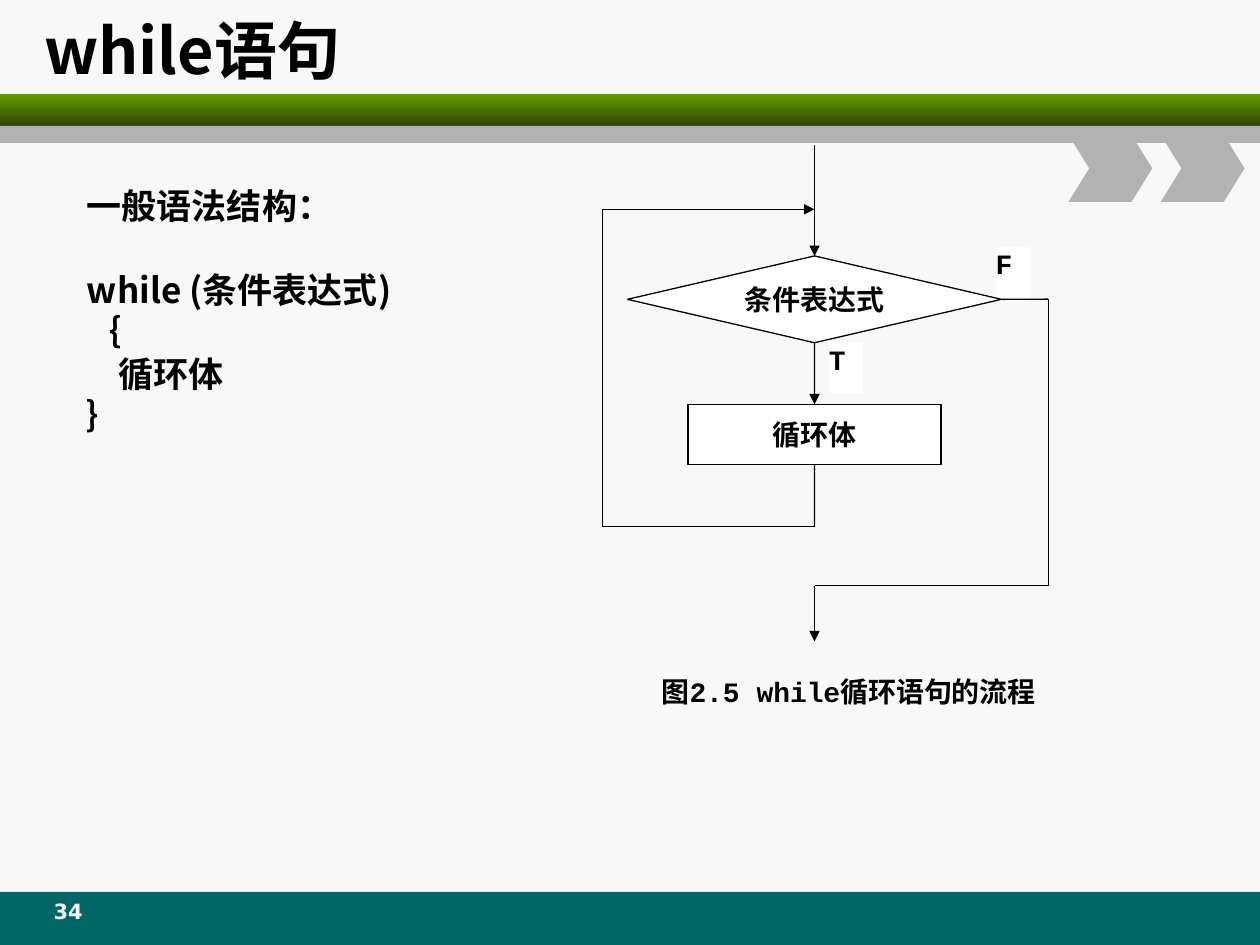
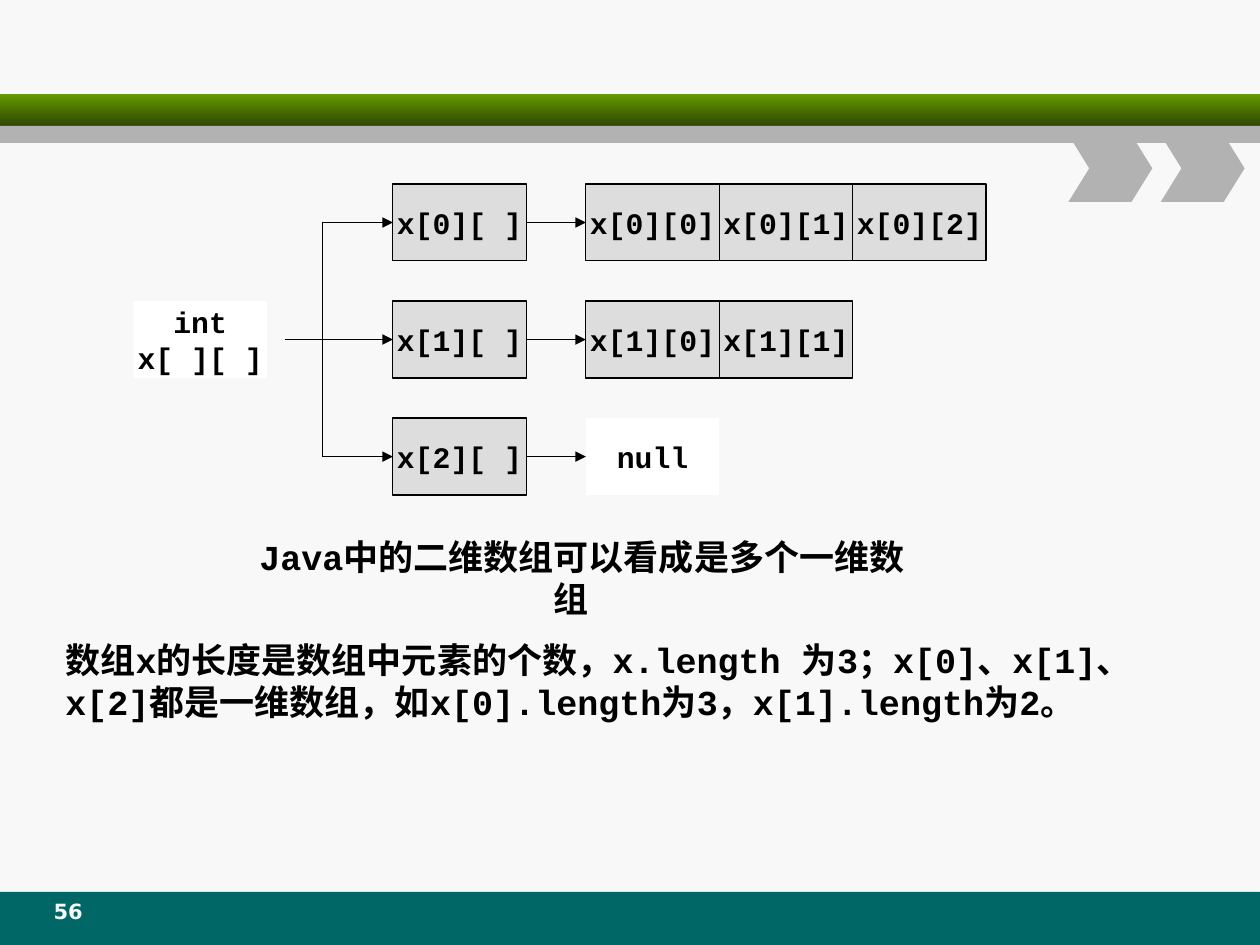
from dataclasses import dataclass

from lxml import etree
from pptx import Presentation
from pptx.dml.color import RGBColor
from pptx.enum.shapes import MSO_CONNECTOR, MSO_SHAPE as Shape
from pptx.enum.text import MSO_ANCHOR as Anchor, MSO_AUTO_SIZE, PP_ALIGN as Align
from pptx.oxml.ns import qn
from pptx.util import Cm, Pt


@dataclass(frozen=True)
class Theme:
    paper: str = "F8F8F8"
    ink: str = "000000"
    white: str = "FFFFFF"
    cell: str = "DDDDDD"
    gray: str = "B2B2B2"
    teal: str = "006666"
    green: str = "669900"
    dark_green: str = "2F4700"
    sans: str = "Noto Sans CJK SC"
    mono: str = "Courier New"
    number: str = "DejaVu Sans"
    title_size: int = 36
    body_size: int = 20
    cell_size: int = 17
    label_size: int = 16
    number_size: int = 12
    line_height: float = 1.2
    line_width: float = 0.75


T = Theme()
rgb = RGBColor.from_string


def style(sp, text="", size=T.body_size, font=T.mono, color=T.ink, fill=None,
          outline=False, align=Align.CENTER, anchor=Anchor.MIDDLE, inset=(0, 0)):
    """Format a shape and its text; inset is (sides, top and bottom) in cm."""
    if fill:
        sp.shadow.inherit = False
        sp.fill.solid()
        sp.fill.fore_color.rgb = rgb(fill)
        if outline:
            sp.line.color.rgb = rgb(T.ink)
            sp.line.width = Pt(T.line_width)
        else:
            sp.line.fill.background()
    if not text:
        return sp
    side, edge = map(Cm, inset)
    tf = sp.text_frame
    tf.text = text
    frame = dict(word_wrap=True, auto_size=MSO_AUTO_SIZE.NONE, vertical_anchor=anchor,
                 margin_left=side, margin_right=side, margin_top=edge, margin_bottom=edge)
    for name, value in frame.items():
        setattr(tf, name, value)
    for p in tf.paragraphs:
        p.alignment = align
        p.line_spacing = Pt(size * T.line_height)
        for r in p.runs:
            for name, value in dict(name=font, size=Pt(size), bold=True).items():
                setattr(r.font, name, value)
            r.font.color.rgb = rgb(color)
            etree.SubElement(r.font._element, qn("a:ea"), typeface=T.sans)
    return sp


def link(s, start, end, arrow=False):
    """Draw a thin straight line between two points in cm."""
    c = s.shapes.add_connector(MSO_CONNECTOR.STRAIGHT, *map(Cm, start + end))
    c.line.color.rgb = rgb(T.ink)
    c.line.width = Pt(T.line_width)
    if arrow:
        etree.SubElement(c.line._get_or_add_ln(), qn("a:tailEnd"), type="triangle")
    etree.SubElement(c._element.spPr, qn("a:effectLst"))
    return c


prs = Presentation()
prs.slide_width, prs.slide_height = Cm(25.4), Cm(19.05)
TITLE_ONLY, BLANK = prs.slide_layouts[5], prs.slide_layouts[6]
while_slide = prs.slides.add_slide(TITLE_ONLY)
array_slide = prs.slides.add_slide(BLANK)
PADDING = (0.25, 0.13)

# Shared bands and chevrons live on the master
master = prs.slide_master
master.background.fill.solid()
master.background.fill.fore_color.rgb = rgb(T.paper)
decorations = [
    (Shape.RECTANGLE, 0, 17.98, 25.4, 1.07, T.teal),
    (Shape.RECTANGLE, 0, 1.9, 25.4, 0.64, T.green),
    (Shape.RECTANGLE, 0, 2.54, 25.4, 0.34, T.gray),
    (Shape.CHEVRON, 21.54, 2.72, 1.69, 1.35, T.gray),
    (Shape.CHEVRON, 23.4, 2.72, 1.69, 1.35, T.gray),
]
for i, (kind, x, y, w, h, fill) in enumerate(decorations):
    sp = style(while_slide.shapes.add_shape(kind, Cm(x), Cm(y), Cm(w), Cm(h)), fill=fill)
    if kind == Shape.CHEVRON:
        sp.adjustments[0] = 0.31
    if fill == T.green:
        sp.fill.gradient()
        sp.fill.gradient_angle = 270
        for stop, color, position in zip(sp.fill.gradient_stops, (T.green, T.dark_green), (0, 1)):
            stop.color.rgb = rgb(color)
            stop.position = position
    sp._element.nvSpPr.cNvPr.id = 20 + i
    master.element.cSld.spTree.insert(2 + i, sp._element)

for s, number in ((while_slide, "34"), (array_slide, "56")):
    style(s.shapes.add_textbox(Cm(0.64), Cm(17.98), Cm(1.47), Cm(0.84)), number, T.number_size,
          T.number, T.paper, anchor=Anchor.TOP, inset=PADDING)

# Slide 1: the while statement
s = while_slide
title = s.shapes.title
for name, value in dict(left=0.64, top=0.1, width=22.86, height=1.78).items():
    setattr(title, name, Cm(value))
style(title, "while语句", T.title_size, T.sans, align=Align.LEFT, anchor=Anchor.TOP, inset=PADDING)

syntax = style(s.shapes.add_textbox(Cm(1.5), Cm(3.58), Cm(9.63), Cm(5.33)),
               "一般语法结构：\nwhile (条件表达式)\n｛\n    循环体\n｝", font=T.sans,
               align=Align.LEFT, anchor=Anchor.TOP, inset=PADDING)
syntax.text_frame.paragraphs[1].space_before = Pt(T.body_size * T.line_height)

for text, x, y, h in (("T", 16.71, 6.91, 1.02), ("F", 20.07, 4.98, 1.12)):
    style(s.shapes.add_shape(Shape.RECTANGLE, Cm(x), Cm(y), Cm(0.69), Cm(h)), text,
          T.label_size, fill=T.white, align=Align.LEFT, anchor=Anchor.TOP)
style(s.shapes.add_textbox(Cm(9.91), Cm(13.59), Cm(14.4), Cm(1.12)),
      "图2.5 while循环语句的流程", T.label_size, anchor=Anchor.TOP)
condition = s.shapes.add_shape(Shape.FLOWCHART_DECISION, Cm(12.65), Cm(5.16), Cm(7.54), Cm(1.75))
loop_body = s.shapes.add_shape(Shape.RECTANGLE, Cm(13.87), Cm(8.15), Cm(5.1), Cm(1.22))
for sp, text in ((condition, "条件表达式"), (loop_body, "循环体")):
    style(sp, text, T.label_size, fill=T.white, outline=True)

axis_x, loop_x, exit_x = 16.42, 12.14, 21.13
back_y, loop_y, exit_y = 4.22, 10.62, 11.81
link(s, (axis_x, 2.92), (axis_x, 5.16), arrow=True).end_connect(condition, 0)
c = link(s, (axis_x, 6.91), (axis_x, 8.15), arrow=True)
c.begin_connect(condition, 2)
c.end_connect(loop_body, 0)
link(s, (axis_x, 9.37), (axis_x, loop_y)).begin_connect(loop_body, 2)
link(s, (20.19, 6.03), (exit_x, 6.03)).begin_connect(condition, 3)
back_path = [(axis_x, loop_y), (loop_x, loop_y), (loop_x, back_y), (axis_x, back_y)]
exit_path = [(exit_x, 6.03), (exit_x, exit_y), (axis_x, exit_y), (axis_x, 12.93)]
for points in (back_path, exit_path):
    for start, end in zip(points, points[1:]):
        link(s, start, end, arrow=end == points[-1])

# Slide 2: a two-dimensional array as several one-dimensional arrays
s = array_slide
cell_w, cell_h = 2.69, 1.55
head_x, items_x, trunk_x = 7.92, 11.81, 6.5
top, pitch = 3.71, 2.36
rows = [
    ("x[0][ ]", ["x[0][0]", "x[0][1]", "x[0][2]"]),
    ("x[1][ ]", ["x[1][0]", "x[1][1]"]),
    ("x[2][ ]", ["null"]),
]
mids = [top + i * pitch + cell_h / 2 for i in range(len(rows))]
for i, (head, items) in enumerate(rows):
    y, mid = top + i * pitch, mids[i]
    places = [head_x] + [items_x + j * cell_w for j in range(len(items))]
    boxes = []
    for x, text in zip(places, [head] + items):
        sp = s.shapes.add_shape(Shape.RECTANGLE, Cm(x), Cm(y), Cm(cell_w), Cm(cell_h))
        is_null = text == "null"
        boxes.append(style(sp, text, T.cell_size, fill=T.white if is_null else T.cell,
                           outline=not is_null))
    c = link(s, (head_x + cell_w, mid), (items_x, mid), arrow=True)
    c.begin_connect(boxes[0], 3)
    c.end_connect(boxes[1], 1)
    branch_x = 5.74 if i == 1 else trunk_x
    link(s, (branch_x, mid), (head_x, mid), arrow=True).end_connect(boxes[0], 1)
link(s, (trunk_x, mids[0]), (trunk_x, mids[-1]))
style(s.shapes.add_shape(Shape.RECTANGLE, Cm(2.69), Cm(top + pitch), Cm(cell_w), Cm(cell_h)),
      "int\vx[ ][ ]", T.cell_size, fill=T.white)

caption = style(s.shapes.add_textbox(Cm(4.52), Cm(10.8), Cm(14), Cm(0.91)),
                "Java中的二维数组可以看成是多个一维数组", anchor=Anchor.TOP)
caption.text_frame.paragraphs[0]._p.get_or_add_pPr().set("indent", str(Pt(12)))
style(s.shapes.add_textbox(Cm(1.07), Cm(12.75), Cm(23.39), Cm(1.96)),
      "数组x的长度是数组中元素的个数，x.length 为3；x[0]、x[1]、 x[2]都是一维数组，"
      "如x[0].length为3，x[1].length为2。", align=Align.LEFT, anchor=Anchor.TOP, inset=PADDING)

prs.save("out.pptx")
